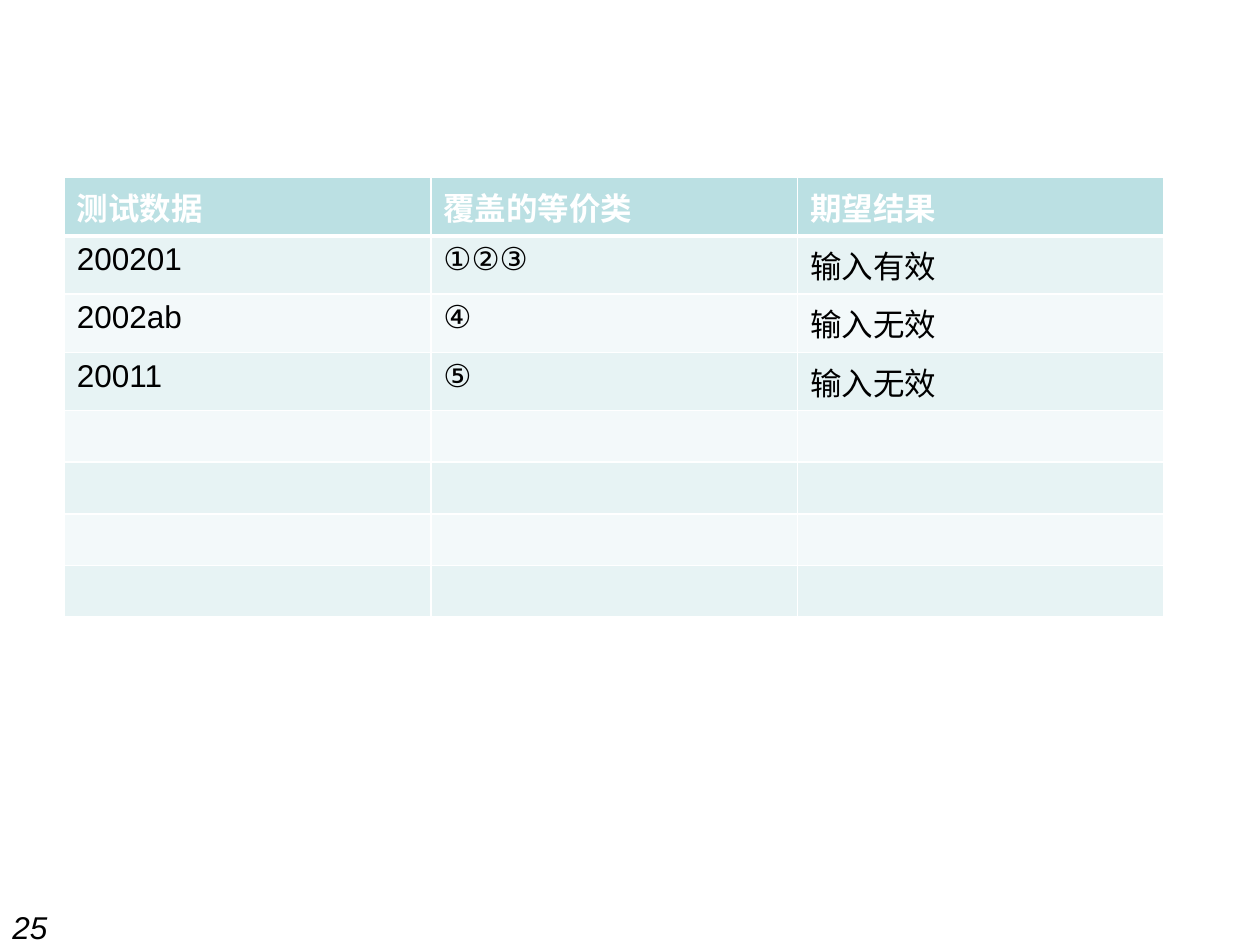
"""Build a slide with a table of equivalence class test cases."""
from lxml.etree import SubElement
from pptx import Presentation
from pptx.dml.color import RGBColor
from pptx.oxml.ns import qn
from pptx.util import Inches, Pt

WHITE = RGBColor(0xFF, 0xFF, 0xFF)
BLACK = RGBColor(0x00, 0x00, 0x00)
HEADER_FILL = RGBColor(0xBB, 0xE0, 0xE3)
BAND_FILLS = (RGBColor(0xF3, 0xF9, 0xFA), RGBColor(0xE7, 0xF3, 0xF4))

TEST_CASES = [
    ("测试数据", "覆盖的等价类", "期望结果"),
    ("200201", "①②③", "输入有效"),
    ("2002ab", "④", "输入无效"),
    ("20011", "⑤", "输入无效"),
]
EMPTY_ROWS = 4


def write_text(text_frame, text, color=BLACK, bold=False, italic=False):
    paragraph = text_frame.paragraphs[0]
    paragraph.font.size = Pt(18)
    if not text:
        return
    run = paragraph.add_run()
    run.text = text
    run.font.name = "Arial"
    run.font.size = Pt(18)
    run.font.bold = bold
    run.font.italic = italic
    run.font.color.rgb = color


def set_borders(cell, top=1, bottom=1):
    properties = cell._tc.get_or_add_tcPr()
    for side, width in (("L", 1), ("R", 1), ("T", top), ("B", bottom)):
        line = SubElement(properties, qn(f"a:ln{side}"), w=str(Pt(width)))
        fill = SubElement(line, qn("a:solidFill"))
        SubElement(fill, qn("a:srgbClr"), val=str(WHITE))


def add_test_table(slide):
    rows = TEST_CASES + [("", "", "")] * EMPTY_ROWS
    columns = len(rows[0])
    row_height = Inches(0.41)
    table = slide.shapes.add_table(
        len(rows), columns, Inches(0.51), Inches(1.41),
        Inches(8.73), row_height * len(rows)).table
    for row_index, texts in enumerate(rows):
        table.rows[row_index].height = row_height
        header = row_index == 0
        for column_index, text in enumerate(texts):
            cell = table.cell(row_index, column_index)
            set_borders(cell, top=3 if row_index == 1 else 1,
                        bottom=3 if header else 1)
            cell.fill.solid()
            cell.fill.fore_color.rgb = (
                HEADER_FILL if header else BAND_FILLS[row_index % 2])
            write_text(cell.text_frame, text,
                       color=WHITE if header else BLACK, bold=header)


def add_page_number(slide, number):
    box = slide.shapes.add_textbox(
        Inches(0), Inches(7.16), Inches(10), Inches(0.29))
    box.text_frame.word_wrap = True
    write_text(box.text_frame, number, italic=True)


def main():
    presentation = Presentation()
    presentation.slide_width = Inches(10)
    presentation.slide_height = Inches(7.5)
    slide = presentation.slides.add_slide(presentation.slide_layouts[6])
    slide.background.fill.solid()
    slide.background.fill.fore_color.rgb = WHITE
    add_test_table(slide)
    add_page_number(slide, "25")
    presentation.save("out.pptx")


if __name__ == "__main__":
    main()
